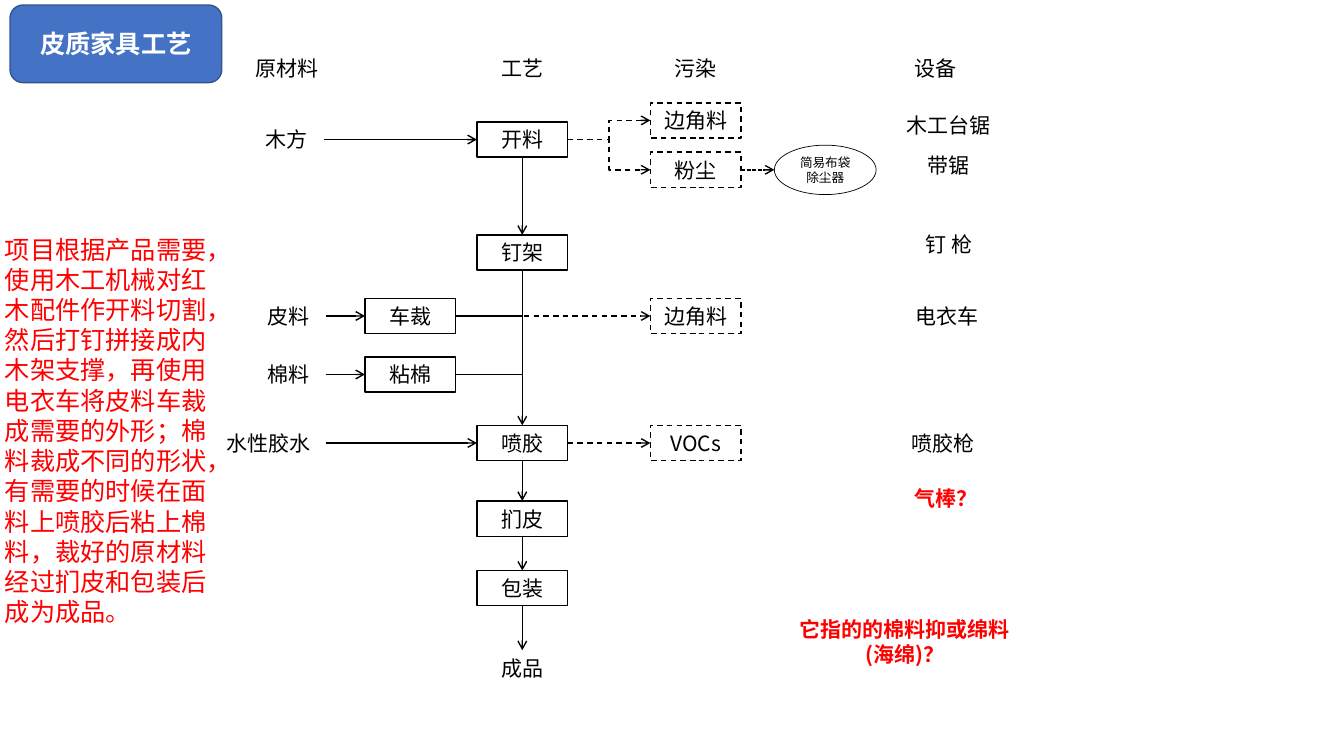
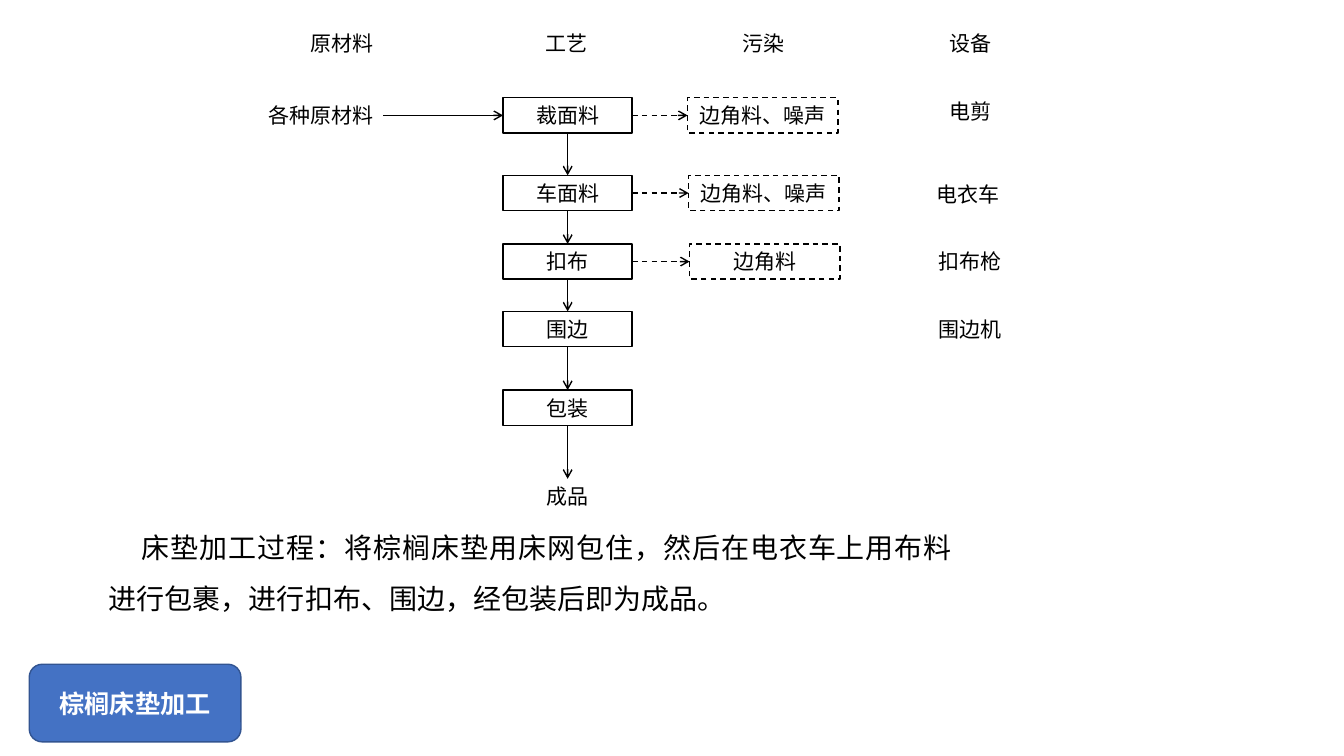
from dataclasses import dataclass

from lxml import etree
from pptx import Presentation
from pptx.dml.color import RGBColor
from pptx.enum.dml import MSO_LINE
from pptx.enum.shapes import MSO_CONNECTOR, MSO_SHAPE
from pptx.enum.text import MSO_ANCHOR, MSO_AUTO_SIZE, PP_ALIGN
from pptx.oxml.ns import qn
from pptx.util import Emu, Pt

PX = 9144  # EMU in one px, 100 px to the inch
RECT, OVAL = MSO_SHAPE.RECTANGLE, MSO_SHAPE.OVAL
ROUND = MSO_SHAPE.ROUNDED_RECTANGLE
LINE, ELBOW = MSO_CONNECTOR.STRAIGHT, MSO_CONNECTOR.ELBOW
DASH, FINE = MSO_LINE.DASH, MSO_LINE.SQUARE_DOT
LEFT, MID = PP_ALIGN.LEFT, PP_ALIGN.CENTER
RIGHT, FULL = PP_ALIGN.RIGHT, PP_ALIGN.JUSTIFY
TOP, HALF = MSO_ANCHOR.TOP, MSO_ANCHOR.MIDDLE
# Connection sites of a rectangle
NORTH, WEST, SOUTH, EAST = range(4)


@dataclass(frozen=True)
class Theme:
    ink: str = "000000"
    paper: str = "FFFFFF"
    red: str = "FF0000"
    blue: str = "4472C4"
    edge: str = "325491"
    sans: str = "Noto Sans CJK SC"
    serif: str = "Times New Roman"
    tiny: int = 9
    base: int = 15
    large: int = 18
    huge: int = 20
    rule: int = 1
    thin: float = 0.5
    pitch: float = 1.2
    pad: int = 10
    row: int = 35


T = Theme()


def px(n):
    return Emu(n * PX)


def rgb(code):
    return RGBColor.from_string(code)


def write(shape, text, size=T.base, color=T.ink, bold=False, font=T.sans,
          align=MID, anchor=HALF, lead=1, indent=0):
    frame = shape.text_frame
    frame.word_wrap = True
    frame.auto_size = MSO_AUTO_SIZE.NONE
    frame.vertical_anchor = anchor
    frame.margin_left = frame.margin_right = px(T.pad)
    frame.margin_top = frame.margin_bottom = 0
    frame.text = text
    par = frame.paragraphs[0]
    par.alignment = align
    par.line_spacing = Pt(size * T.pitch * lead)
    props = par._p.get_or_add_pPr()
    if indent:
        props.set("indent", str(px(indent)))
    face = par.font
    face.size, face.bold, face.name = Pt(size), bold, font
    face.color.rgb = rgb(color)
    asian = etree.SubElement(props.find(qn("a:defRPr")), qn("a:ea"))
    asian.set("typeface", T.sans)


def label(slide, text, x, y, w, h=T.row, **style):
    shape = slide.shapes.add_textbox(px(x), px(y), px(w), px(h))
    write(shape, text, **style)
    return shape


def block(slide, kind, x, y, w, h, fill=T.paper, line=T.ink, width=T.rule,
          dash=None):
    """Add a filled and outlined shape without text."""
    shape = slide.shapes.add_shape(kind, px(x), px(y), px(w), px(h))
    shape.shadow.inherit = False
    shape.fill.solid()
    shape.fill.fore_color.rgb = rgb(fill)
    shape.line.color.rgb = rgb(line)
    shape.line.width = Pt(width)
    if dash:
        shape.line.dash_style = dash
    return shape


def box(slide, text, x, y, w=90, h=T.row, kind=RECT, size=T.base, **look):
    shape = block(slide, kind, x, y, w, h, **look)
    write(shape, text, size)
    return shape


def stroke(slide, start, end, kind=LINE, dash=None, arrow=True):
    line = slide.shapes.add_connector(kind, *start, *end)
    line.line.color.rgb = rgb(T.ink)
    line.line.width = Pt(T.rule)
    if dash:
        line.line.dash_style = dash
    if arrow:
        tip = etree.SubElement(line.line._get_or_add_ln(), qn("a:tailEnd"))
        tip.set("type", "arrow")
    etree.SubElement(line._element.spPr, qn("a:effectLst"))
    return line


def link(slide, source, target, out=EAST, into=WEST, **style):
    """Glue an arrow to one side of each of two rectangles."""
    line = stroke(slide, (0, 0), (0, 0), **style)
    line.begin_connect(source, out)
    line.end_connect(target, into)


def chain(slide, steps):
    for upper, lower in zip(steps, steps[1:]):
        link(slide, upper, lower, SOUTH, NORTH)


def reach(slide, source, x, **style):
    """Run a level line from the right side of a box to x."""
    y = source.top + source.height // 2
    stroke(slide, (source.left + source.width, y), (x, y), **style)


def start(deck, text, x, y):
    """Add a slide whose title sits on a rounded blue badge."""
    slide = deck.slides.add_slide(deck.slide_layouts[5])
    title = slide.shapes.title
    badge = block(slide, ROUND, x, y, 210, 77, T.blue, T.edge)
    title._element.addprevious(badge._element)
    title.left, title.top = badge.left, badge.top
    title.width, title.height = badge.width, badge.height
    write(title, text, T.large, T.paper, True)
    return slide


def leather(deck):
    slide = start(deck, "皮质家具工艺", 10, 5)
    for text, x, y, w in (
            ("原材料", 242, 50, 86), ("工艺", 473, 50, 90),
            ("污染", 645, 50, 90), ("设备", 872, 50, 112),
            ("木工台锯", 889, 107, 104), ("带锯", 889, 146, 104),
            ("钉 枪", 905, 225, 73), ("电衣车", 888, 296, 103),
            ("喷胶枪", 889, 422, 92)):
        label(slide, text, x, y, w)

    wood, hide, wool, glue = [
        label(slide, text, x, y, w) for text, x, y, w in (
            ("木方", 248, 121, 73), ("皮料", 250, 296, 73),
            ("棉料", 250, 354, 73), ("水性胶水", 210, 422, 113))]
    steps = [box(slide, text, 473, y) for text, y in (
        ("开料", 121), ("钉架", 233), ("喷胶", 422),
        ("扪皮", 497), ("包装", 566))]
    cut, nail, spray = steps[:3]
    sew, pad = [box(slide, text, 362, y)
                for text, y in (("车裁", 296), ("粘棉", 354))]
    scrap, dust, waste, fumes = [
        box(slide, text, 645, y, dash=DASH) for text, y in (
            ("边角料", 102), ("粉尘", 151), ("边角料", 296), ("VOCs", 422))]
    bag = box(slide, "简易布袋除尘器", 768, 144, 101, 49, OVAL, T.tiny,
              width=T.thin)
    steps.append(label(slide, "成品", 473, 645, 90))

    chain(slide, steps)
    for source, target in ((wood, cut), (hide, sew), (wool, pad),
                           (glue, spray)):
        link(slide, source, target)
    for target in (scrap, dust):
        link(slide, cut, target, kind=ELBOW, dash=DASH)
    for source, target in ((sew, waste), (spray, fumes)):
        link(slide, source, target, dash=DASH)
    reach(slide, dust, bag.left, dash=FINE)
    for part in (sew, pad):
        reach(slide, part, nail.left + nail.width // 2, arrow=False)

    label(slide, "项目根据产品需要，使用木工机械对红木配件作开料切割，"
          "然后打钉拼接成内木架支撑，再使用电衣车将皮料车裁成需要的外形；"
          "棉料裁成不同的形状，有需要的时候在面料上喷胶后粘上棉料，"
          "裁好的原材料经过扪皮和包装后成为成品。",
          -5, 232, 236, 404, size=T.large, color=T.red, font=T.serif,
          align=LEFT, anchor=TOP)
    for text, x, y, w, h in (
            ("气棒？", 892, 477, 92, T.row),
            ("它指的的棉料抑或绵料(海绵)？", 782, 606, 231, 61)):
        label(slide, text, x, y, w, h, color=T.red, bold=True)


def mattress(deck):
    slide = start(deck, "棕榈床垫加工", 29, 659)
    for text, x, y, w in (
            ("工艺", 517, 25, 90), ("污染", 712, 25, 90),
            ("设备", 907, 25, 112), ("电剪", 895, 93, 135),
            ("电衣车", 893, 175, 135), ("扣布枪", 895, 242, 135),
            ("围边机", 895, 309, 135)):
        label(slide, text, x, y, w)
    label(slide, "原材料", 277, 25, 103, align=RIGHT)
    stock = label(slide, "各种原材料", 239, 97, 141, align=RIGHT)

    steps = [box(slide, text, 499, y, 128) for text, y in (
        ("裁面料", 97), ("车面料", 174), ("扣布", 242),
        ("围边", 309), ("包装", 387))]
    steps.append(label(slide, "成品", 499, 475, 128))
    chain(slide, steps)
    link(slide, stock, steps[0])
    for step, text, x, y in zip(
            steps, ("边角料、噪声", "边角料、噪声", "边角料"),
            (682, 683, 684), (97, 174, 242)):
        link(slide, step, box(slide, text, x, y, 149, dash=DASH), dash=DASH)

    label(slide, "床垫加工过程：将棕榈床垫用床网包住，然后在电衣车上用布料"
          "进行包裹，进行扣布、围边，经包装后即为成品。",
          98, 510, 856, 105, size=T.huge, font=T.serif, align=FULL,
          anchor=TOP, lead=1.5, indent=33)


def main():
    deck = Presentation()
    deck.slide_width, deck.slide_height = px(1333), px(750)
    leather(deck)
    mattress(deck)
    deck.save("out.pptx")


if __name__ == "__main__":
    main()
